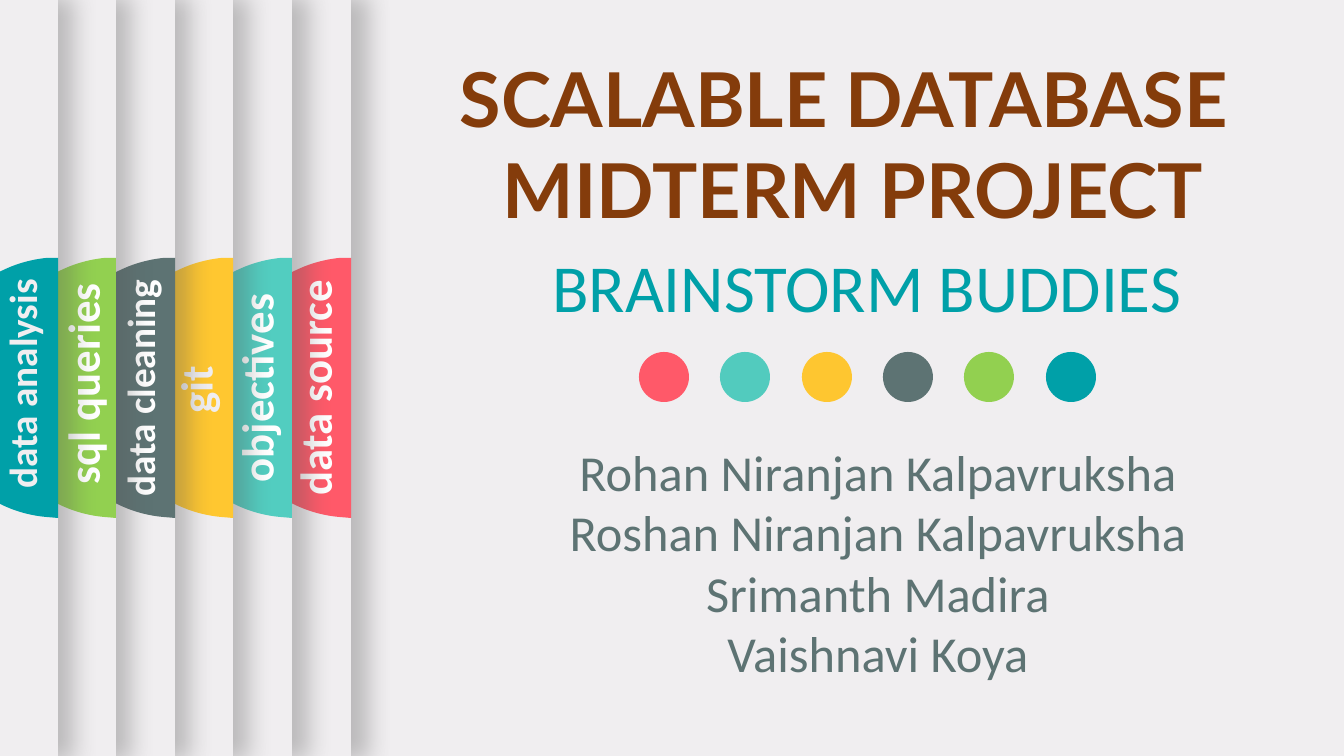
from dataclasses import dataclass

from lxml.etree import SubElement
from pptx import Presentation
from pptx.dml.color import RGBColor
from pptx.enum.shapes import MSO_SHAPE as Preset
from pptx.enum.text import MSO_ANCHOR as Anchor, PP_ALIGN as Align
from pptx.oxml.ns import qn
from pptx.util import Pt

EMU_PER_PX = 12192000 / 1344
PAGE_WIDTH, PAGE_HEIGHT = 1344, 756
TAB_TOP, TAB_WIDTH = 258, 129
TAB_CORNERS = [(129, 0), (129, 260), (117, 259), (0, 130), (117, 0)]
TAB_CURVES = [[(51, 253), (0, 198)], [(0, 62), (51, 7)]]


def px(length):
    return round(length * EMU_PER_PX)


@dataclass(frozen=True)
class Theme:
    paper: str = "F0EEF0"
    white: str = "FFFFFF"
    brown: str = "843C0B"
    teal: str = "00A0A8"
    slate: str = "5D7373"
    coral: str = "FF5969"
    mint: str = "52CBBE"
    amber: str = "FEC630"
    green: str = "92D050"
    tab_mint: str = "52CDC0"
    tab_amber: str = "FFC730"
    shadow: str = "595959"
    title_font: str = "Lato"
    body_font: str = "Calibri"
    title_size: int = 54
    team_size: int = 48
    names_size: int = 36
    tab_size: int = 32
    small_tab_size: int = 28


class SlideBuilder:
    def __init__(self, page, theme):
        self.page = page
        self.theme = theme
        self.canvas = page.shapes
        page.background.fill.solid()
        page.background.fill.fore_color.rgb = RGBColor.from_string(theme.paper)

    def start_group(self):
        self.canvas = self.page.shapes.add_group_shape().shapes

    def end_group(self):
        self.canvas = self.page.shapes

    def paint(self, shape, colour):
        shape.shadow.inherit = False
        shape.fill.solid()
        shape.fill.fore_color.rgb = RGBColor.from_string(colour)
        shape.line.fill.background()
        return shape

    def preset(self, kind, left, top, width, height, colour):
        shape = self.canvas.add_shape(kind, px(left), px(top), px(width), px(height))
        return self.paint(shape, colour)

    def panel(self, left, right):
        panel = self.preset(Preset.RECTANGLE, left, 0, right - left, PAGE_HEIGHT, self.theme.paper)
        effects = panel._element.spPr.find(qn("a:effectLst"))
        shadow = SubElement(effects, qn("a:outerShdw"), blurRad=str(Pt(17)),
                            dist=str(Pt(3)), dir="0", sx="101000", sy="101000",
                            algn="l", rotWithShape="0")
        colour = SubElement(shadow, qn("a:srgbClr"), val=self.theme.shadow)
        SubElement(colour, qn("a:alpha"), val="35000")

    def rounded_tab(self, right, colour):
        corners = [(px(right - TAB_WIDTH + x), px(TAB_TOP + y)) for x, y in TAB_CORNERS]
        outline = self.canvas.build_freeform(*corners[0])
        outline.add_line_segments(corners[1:], close=True)
        shape = self.paint(outline.convert_to_shape(), colour)
        segments = list(shape._element.spPr.iter(qn("a:lnTo")))
        for segment, controls in zip(segments[2:4], TAB_CURVES):
            segment.tag = qn("a:cubicBezTo")
            for index, (x, y) in enumerate(controls):
                point = SubElement(segment, qn("a:pt"), x=str(px(x)), y=str(px(y)))
                segment.insert(index, point)

    def text(self, left, top, width, height, lines, size, colour,
             font=None, bold=False, rotation=0):
        box = self.canvas.add_textbox(px(left), px(top), px(width), px(height))
        box.rotation = rotation
        frame = box.text_frame
        frame.word_wrap = True
        frame.vertical_anchor = Anchor.TOP
        style = {"name": font or self.theme.body_font, "size": Pt(size), "bold": bold}
        for index, line in enumerate(lines):
            para = frame.add_paragraph() if index else frame.paragraphs[0]
            para.alignment = Align.CENTER
            para.text = line
            for span in para.runs:
                for name, value in style.items():
                    setattr(span.font, name, value)
                span.font.color.rgb = RGBColor.from_string(colour)

    def tab(self, right, label, panel_left, centre, middle, length, size, fill, colour):
        self.start_group()
        self.panel(panel_left, right)
        self.rounded_tab(right, fill)
        height = size * 2
        self.text(centre - length / 2, middle - height / 2, length, height,
                  [label], size, colour, bold=True, rotation=270)
        self.end_group()


def main():
    theme = Theme()
    deck = Presentation()
    deck.slide_width, deck.slide_height = px(PAGE_WIDTH), px(PAGE_HEIGHT)
    slide = SlideBuilder(deck.slides.add_slide(deck.slide_layouts[6]), theme)

    slide.text(426, 47, 854, 194, ["SCALABLE DATABASE ", "MIDTERM PROJECT"],
               theme.title_size, theme.brown, font=theme.title_font, bold=True)

    dots = [theme.coral, theme.mint, theme.amber, theme.slate, theme.green, theme.teal]
    slide.start_group()
    for index, colour in enumerate(dots):
        slide.preset(Preset.OVAL, round(639 + 81.3 * index), 352, 50, 50, colour)
    slide.end_group()

    slide.text(498, 240, 738, 92, ["BRAINSTORM BUDDIES"], theme.team_size, theme.teal)
    names = ["Rohan Niranjan Kalpavruksha", "Roshan Niranjan Kalpavruksha",
             "Srimanth Madira", "Vaishnavi Koya"]
    slide.text(499, 436, 758, 254, ["\n".join(names)], theme.names_size, theme.slate)

    large, small = theme.tab_size, theme.small_tab_size
    tabs = [
        ("data source", -1025, 314, 388, 260, large, theme.coral, theme.white),
        ("objectives", -970, 256, 388, 295, large, theme.tab_mint, theme.white),
        ("git", -865, 195, 390, 317, large, theme.tab_amber, theme.paper),
        ("data cleaning", -880, 139, 388, 295, small, theme.slate, theme.white),
        ("sql queries", -842, 82, 384, 366, large, theme.green, theme.white),
        ("data analysis", -1035, 21, 384, 252, small, theme.teal, theme.paper),
    ]
    for index, tab in enumerate(tabs):
        slide.tab(int(351 - 58.6 * index), *tab)

    deck.save("out.pptx")


if __name__ == "__main__":
    main()
